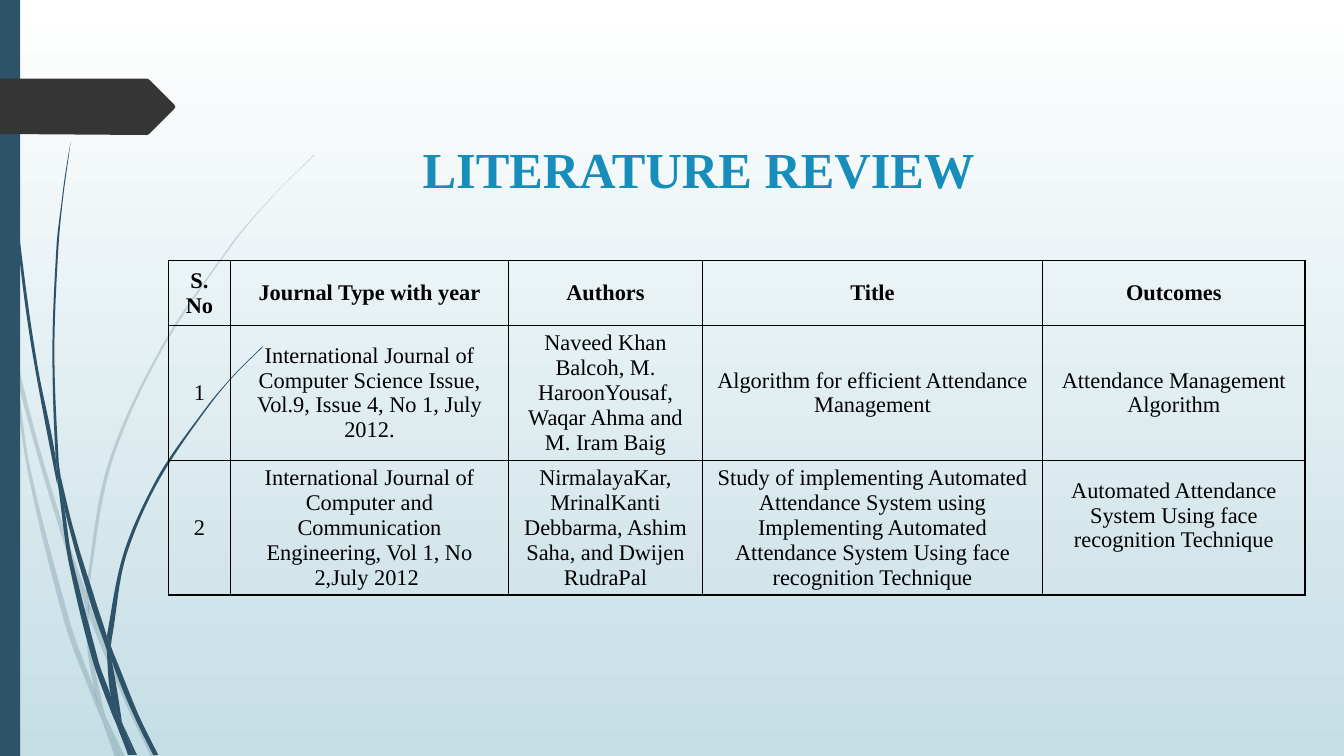
"""Build the literature review slide: a journal table beside decorative grass blades."""
from dataclasses import dataclass

from lxml import etree
from pptx import Presentation
from pptx.dml.color import RGBColor
from pptx.enum.shapes import MSO_SHAPE
from pptx.enum.text import MSO_ANCHOR, PP_ALIGN
from pptx.oxml.ns import qn
from pptx.shapes.autoshape import Shape
from pptx.slide import Slide
from pptx.table import _Cell
from pptx.text.text import TextFrame
from pptx.util import Pt

RECTANGLE = MSO_SHAPE.RECTANGLE
CENTER, MIDDLE = PP_ALIGN.CENTER, MSO_ANCHOR.MIDDLE
TITLE_ONLY = 5
GRID = Pt(0.72)

Edge = list[tuple[float, float]]


@dataclass(frozen=True)
class Theme:
    """Colours and type sizes of the slide."""
    font: str = "Times New Roman"
    sky_top: str = "FFFFFF"
    sky_bottom: str = "C5DEE5"
    grass: str = "2E5369"
    tag: str = "353535"
    title: str = "178DBB"
    ink: str = "000000"
    title_size: float = 36
    table_size: float = 16


@dataclass(frozen=True)
class Blade:
    """A part of a grass blade between two edges, top to bottom, in grid units."""
    left: Edge
    right: Edge


@dataclass(frozen=True)
class Column:
    """A table column with its heading and its entries."""
    width: float
    heading: str
    entries: tuple[str, str]


THEME = Theme()

PALE_BLADES = [
    Blade([(0, 299), (10, 344), (11, 350)], [(0, 282), (9, 322), (11, 350)]),
    Blade([(14, 345), (17, 376), (58, 522), (84, 599)], [(14, 345), (36, 433), (62, 520), (85, 586)]),
    Blade([(88, 596), (88, 610), (123, 694), (150, 751)],
          [(88, 596), (92, 607), (127, 692), (155, 751)]),
    Blade([(105, 711), (119, 751)], [(105, 711), (124, 751)]),
    Blade([(11, 350), (28, 470), (65, 621), (92, 693), (101, 714)],
          [(11, 350), (17, 376), (31, 469), (70, 619), (93, 683), (99, 707), (101, 714)]),
    Blade([(84, 599), (87, 646), (93, 683), (96, 692), (105, 711)],
          [(84, 599), (88, 610), (91, 646), (103, 706), (105, 711)]),
    Blade([(312, 153), (268, 197), (228, 244), (158, 348), (107, 461), (85, 586)],
          [(312, 154), (268, 198), (229, 245), (160, 349), (110, 462), (88, 584), (88, 596)]),
    Blade([(101, 714), (114, 751)], [(101, 714), (119, 751)]),
    Blade([(85, 586), (84, 599)], [(85, 586), (88, 596), (88, 610)]),
    Blade([(93, 683), (99, 707), (101, 714), (119, 751)], [(93, 683), (96, 692), (105, 711), (119, 751)]),
]
DARK_BLADES = [
    Blade([(3, 0), (7, 110), (17, 233), (33, 355), (56, 477), (57, 481)],
          [(4, 0), (8, 109), (19, 232), (36, 355), (55, 453), (57, 481)]),
    Blade([(60, 472), (64, 505), (88, 592), (106, 645)], [(60, 472), (75, 532), (93, 590), (106, 631)]),
    Blade([(110, 641), (111, 656), (132, 708), (152, 749)],
          [(110, 641), (113, 649), (136, 706), (157, 749)]),
    Blade([(57, 477), (68, 557), (93, 659), (111, 708), (117, 722)],
          [(57, 477), (64, 505), (72, 556), (98, 657), (110, 691), (116, 717), (117, 722)]),
    Blade([(70, 141), (62, 193), (56, 245), (52, 349), (55, 449), (60, 472)],
          [(70, 141), (63, 193), (58, 245), (54, 349), (58, 453), (60, 472)]),
    Blade([(122, 719), (133, 749)], [(122, 719), (136, 749)]),
    Blade([(55, 449), (57, 477), (64, 505)], [(55, 449), (60, 472), (64, 505)]),
    Blade([(260, 344), (231, 373), (204, 405), (156, 474), (122, 551), (106, 631)],
          [(261, 344), (231, 374), (205, 406), (158, 476), (125, 552), (111, 633), (110, 641)]),
    Blade([(117, 722), (127, 749)], [(117, 722), (131, 749)]),
    Blade([(106, 645), (110, 691), (116, 706), (122, 719)], [(106, 645), (111, 656), (121, 716), (122, 719)]),
    Blade([(106, 631), (106, 645)], [(106, 631), (110, 641), (111, 656)]),
    Blade([(110, 691), (117, 722), (130, 749)], [(110, 691), (116, 706), (122, 719), (133, 749)]),
]
TAG = [(0, 78), (146, 78), (148, 79), (173, 104), (174, 106), (173, 108), (148, 133), (146, 134), (0, 133)]

COLUMNS = [
    Column(44.3, "S. No", ("1", "2")),
    Column(198.7, "Journal Type with year", (
        "International Journal of Computer Science Issue, Vol.9, Issue 4, No 1, July 2012.",
        "International Journal of Computer and Communication Engineering, Vol 1, No 2,July 2012 ")),
    Column(138.5, "Authors", (
        "Naveed Khan Balcoh, M. HaroonYousaf, Waqar Ahma and M. Iram Baig",
        "NirmalayaKar, MrinalKanti Debbarma, Ashim Saha, and Dwijen RudraPal")),
    Column(243, "Title", (
        "Algorithm for efficient Attendance Management",
        "Study of implementing Automated Attendance System using Implementing Automated "
        "Attendance System Using face recognition Technique")),
    Column(187.5, "Outcomes", (
        "Attendance Management Algorithm",
        "Automated Attendance System Using face recognition Technique")),
]
ROW_HEIGHTS = (46.1, 96.5, 95.8)


def bend(edge: Edge) -> Edge:
    """Add two control points to each segment of an edge."""
    last = len(edge) - 1
    slopes = []
    for i in range(last + 1):
        (x0, y0), (x1, y1) = edge[max(i - 1, 0)], edge[min(i + 1, last)]
        slopes.append((x1 - x0) / (y1 - y0))
    curve = [edge[0]]
    for i in range(last):
        (x0, y0), (x1, y1) = edge[i], edge[i + 1]
        third = (y1 - y0) / 3
        curve += [(x0 + third * slopes[i], y0 + third), (x1 - third * slopes[i + 1], y1 - third), (x1, y1)]
    return curve


def paint(shape: Shape, color: str, opacity: int = 100) -> None:
    """Give a shape a flat fill without line or shadow."""
    shape.shadow.inherit = False
    shape.line.fill.background()
    shape.fill.solid()
    shape.fill.fore_color.rgb = RGBColor.from_string(color)
    if opacity < 100:
        tint = shape.element.spPr.find(".//" + qn("a:srgbClr"))
        etree.SubElement(tint, qn("a:alpha"), val=str(opacity * 1000))


def draw_outline(slide: Slide, outline: Edge) -> Shape:
    """Draw a closed outline given in grid units."""
    builder = slide.shapes.build_freeform(*outline[0], scale=GRID)
    builder.add_line_segments(outline[1:], close=True)
    return builder.convert_to_shape()


def draw_blade(slide: Slide, blade: Blade, opacity: int) -> None:
    """Draw a blade and turn the points of its edges into cubic curves."""
    left, right = bend(blade.left), bend(blade.right)
    shape = draw_outline(slide, left + right[::-1])
    steps = list(shape.element.iter(qn("a:lnTo")))
    for start, stop in ((0, len(left) - 1), (len(left), len(left) + len(right) - 1)):
        for i in range(start, stop, 3):
            curve = etree.Element(qn("a:cubicBezTo"))
            steps[i].addprevious(curve)
            for step in steps[i:i + 3]:
                curve.append(step[0])
                step.getparent().remove(step)
    paint(shape, THEME.grass, opacity)


def write(frame: TextFrame, text: str, size: float, color: str, bold: bool) -> None:
    """Write one centred paragraph."""
    frame.text = text
    paragraph = frame.paragraphs[0]
    paragraph.alignment = CENTER
    for attribute, value in {"name": THEME.font, "size": Pt(size), "bold": bold}.items():
        setattr(paragraph.runs[0].font, attribute, value)
    paragraph.runs[0].font.color.rgb = RGBColor.from_string(color)


def add_borders(cell: _Cell) -> None:
    """Rule all four sides of a cell."""
    for index, side in enumerate(("a:lnL", "a:lnR", "a:lnT", "a:lnB")):
        rule = etree.Element(qn(side), w=str(Pt(1)))
        fill = etree.SubElement(rule, qn("a:solidFill"))
        etree.SubElement(fill, qn("a:srgbClr"), val=THEME.ink)
        cell._tc.get_or_add_tcPr().insert(index, rule)


def draw_title(slide: Slide) -> None:
    """Place the title in front of the decoration."""
    title = slide.shapes.title
    for attribute, value in {"left": 152.4, "top": 95.4, "width": 693.4, "height": 49.7}.items():
        setattr(title, attribute, Pt(value))
    slide.shapes.element.append(title.element)
    title.text_frame.vertical_anchor = MIDDLE
    write(title.text_frame, "LITERATURE REVIEW", THEME.title_size, THEME.title, True)


def draw_journals(slide: Slide) -> None:
    """Draw the table of reviewed journals."""
    size = sum(column.width for column in COLUMNS), sum(ROW_HEIGHTS)
    journals = slide.shapes.add_table(len(ROW_HEIGHTS), len(COLUMNS), Pt(120.3), Pt(186.3),
                                      *map(Pt, size)).table
    journals.first_row = journals.horz_banding = False
    for row, height in zip(journals.rows, ROW_HEIGHTS):
        row.height = Pt(height)
    for c, column in enumerate(COLUMNS):
        journals.columns[c].width = Pt(column.width)
        for r, text in enumerate((column.heading, *column.entries)):
            cell = journals.cell(r, c)
            cell.vertical_anchor = MIDDLE
            cell.fill.background()
            add_borders(cell)
            write(cell.text_frame, text, THEME.table_size, THEME.ink, r == 0)
    journals.cell(2, 4).margin_bottom = Pt(21)


def main() -> None:
    """Build and save the slide."""
    deck = Presentation()
    deck.slide_width, deck.slide_height = Pt(960), Pt(540)
    slide = deck.slides.add_slide(deck.slide_layouts[TITLE_ONLY])
    sky = slide.background.fill
    sky.gradient()
    sky.gradient_angle = 270
    for stop, color in zip(sky.gradient_stops, (THEME.sky_top, THEME.sky_bottom)):
        stop.color.rgb = RGBColor.from_string(color)
    for blades, opacity in ((PALE_BLADES, 20), (DARK_BLADES, 100)):
        for blade in blades:
            draw_blade(slide, blade, opacity)
    paint(slide.shapes.add_shape(RECTANGLE, 0, 0, Pt(14.4), Pt(540)), THEME.grass)
    paint(draw_outline(slide, TAG), THEME.tag)
    draw_title(slide)
    draw_journals(slide)
    deck.save("out.pptx")


if __name__ == "__main__":
    main()
